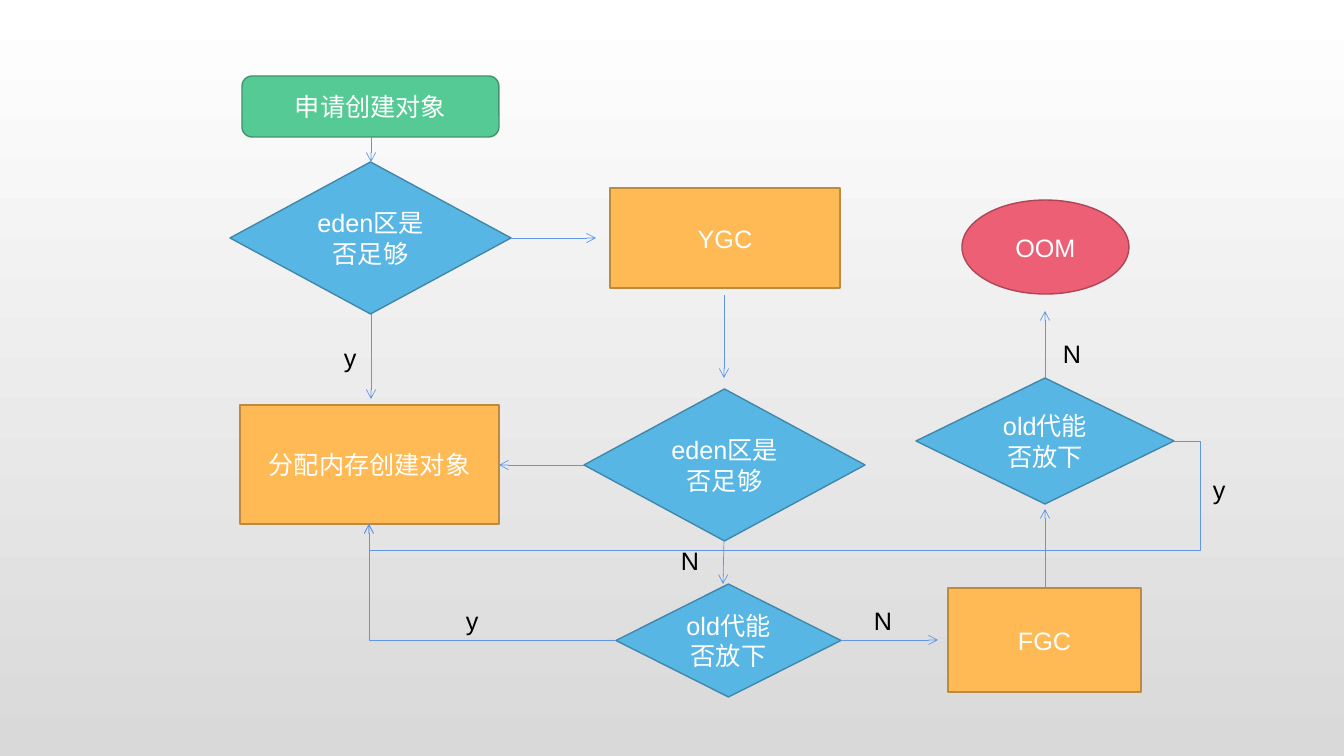
import pptx
import pptx.util
import pptx.dml.color
import pptx.enum.shapes
import pptx.enum.text
import pptx.oxml.ns
import lxml.etree

RGBColor = pptx.dml.color.RGBColor
Shapes = pptx.enum.shapes.MSO_SHAPE
Connectors = pptx.enum.shapes.MSO_CONNECTOR
qn = pptx.oxml.ns.qn

WHITE = RGBColor(0xFF, 0xFF, 0xFF)
BLACK = RGBColor(0, 0, 0)
BACKDROP_GRAY = RGBColor(0xD9, 0xD9, 0xD9)
ARROW_BLUE = RGBColor(0x60, 0x96, 0xE6)
# Each kind of step: preset shape, fill, outline
START = (Shapes.ROUNDED_RECTANGLE, RGBColor(0x56, 0xCA, 0x95), RGBColor(0x40, 0x95, 0x6E))
CHECK = (Shapes.DIAMOND, RGBColor(0x58, 0xB6, 0xE5), RGBColor(0x41, 0x87, 0xA9))
ACTION = (Shapes.RECTANGLE, RGBColor(0xFF, 0xBA, 0x55), RGBColor(0xBD, 0x8A, 0x3F))
FAILURE = (Shapes.OVAL, RGBColor(0xEC, 0x5F, 0x74), RGBColor(0xAF, 0x46, 0x56))

EDEN_CHECK = "eden区是否足够"
OLD_CHECK = "old代能否放下"
LABEL_WIDTHS = {"y": 44, "N": 51}


def px(pixels):
    """Turn pixels (100.8 to the inch) into EMU."""
    return pptx.util.Emu(round(pixels * 914400 / 100.8))


def style_text(paragraph, color):
    """Set the common font on a paragraph."""
    paragraph.font.name = "Arial"
    paragraph.font.size = pptx.util.Pt(18)
    paragraph.font.color.rgb = color


def add_step(slide, kind, text, origin, left, top, width, height):
    """Add one flowchart step, placed relative to origin."""
    preset, fill, outline = kind
    shape = slide.shapes.add_shape(
        preset, px(origin[0] + left), px(origin[1] + top), px(width), px(height))
    shape.shadow.inherit = False
    shape.fill.solid()
    shape.fill.fore_color.rgb = fill
    shape.line.color.rgb = outline
    shape.line.width = pptx.util.Pt(1)
    frame = shape.text_frame
    frame.word_wrap = True
    frame.vertical_anchor = pptx.enum.text.MSO_ANCHOR.MIDDLE
    paragraph = frame.paragraphs[0]
    paragraph.text = text
    paragraph.alignment = pptx.enum.text.PP_ALIGN.CENTER
    style_text(paragraph, WHITE)


def add_arrow(slide, origin, start, end, kind=Connectors.STRAIGHT):
    """Add an arrow between two points relative to origin."""
    left, top = origin
    arrow = slide.shapes.add_connector(
        kind, px(left + start[0]), px(top + start[1]), px(left + end[0]), px(top + end[1]))
    arrow.line.color.rgb = ARROW_BLUE
    arrow.line.width = pptx.util.Pt(0.5)
    properties = arrow._element.spPr
    line = properties.find(qn("a:ln"))
    lxml.etree.SubElement(line, qn("a:tailEnd"), type="arrow")
    lxml.etree.SubElement(properties, qn("a:effectLst"))
    return arrow


def add_bent_arrow(slide, origin, start, end, preset, **adjustments):
    """Add an elbow arrow with the given preset and adjustments."""
    arrow = add_arrow(slide, origin, start, end, Connectors.ELBOW)
    geometry = arrow._element.spPr.find(qn("a:prstGeom"))
    geometry.set("prst", preset)
    guides = geometry.find(qn("a:avLst"))
    for name, value in adjustments.items():
        lxml.etree.SubElement(guides, qn("a:gd"), name=name, fmla=f"val {value}")


def add_label(slide, text, origin, left, top):
    """Add a yes or no label beside an arrow."""
    label = slide.shapes.add_textbox(
        px(origin[0] + left), px(origin[1] + top), px(LABEL_WIDTHS[text]), px(40))
    label.text_frame.word_wrap = True
    paragraph = label.text_frame.paragraphs[0]
    paragraph.text = text
    style_text(paragraph, BLACK)


def build_allocation(slide, origin):
    """Left column: request, eden check and allocation."""
    add_step(slide, START, "申请创建对象", origin, 12, 0, 257, 61)
    add_step(slide, CHECK, EDEN_CHECK, origin, 0, 86, 281, 152)
    add_step(slide, ACTION, "分配内存创建对象", origin, 10, 329, 259, 119)
    add_arrow(slide, origin, (141, 61), (141, 86))
    add_arrow(slide, origin, (141, 238), (141, 323))
    add_arrow(slide, origin, (281, 162), (366, 162))
    add_label(slide, "y", origin, 104, 261)


def build_young_collection(slide, origin):
    """Middle column: YGC, then the eden and old checks."""
    add_step(slide, ACTION, "YGC", origin, 26, 0, 230, 100)
    add_step(slide, CHECK, EDEN_CHECK, origin, 0, 201, 281, 152)
    add_step(slide, CHECK, OLD_CHECK, origin, 32, 396, 225, 113)
    add_arrow(slide, origin, (140, 107), (140, 190))
    add_arrow(slide, origin, (0, 277), (-85, 277))
    add_arrow(slide, origin, (140, 353), (139, 396))
    add_arrow(slide, origin, (257, 452), (354, 452))
    add_label(slide, "N", origin, 87, 352)
    add_label(slide, "N", origin, 280, 412)


def build_full_collection(slide, origin):
    """Right column: FGC, the old check and OOM."""
    add_step(slide, FAILURE, "OOM", origin, 46, 0, 167, 94)
    add_step(slide, CHECK, OLD_CHECK, origin, 0, 178, 258, 126)
    add_step(slide, ACTION, "FGC", origin, 32, 388, 193, 104)
    add_arrow(slide, origin, (129, 388), (129, 309))
    add_arrow(slide, origin, (129, 178), (129, 111))
    add_label(slide, "N", origin, 137, 133)


def build_returns(slide, origin):
    """Bent arrows that lead from both old checks back to allocation."""
    add_bent_arrow(slide, origin, (247, 199), (0, 83), "bentConnector2")
    add_bent_arrow(slide, origin, (805, 0), (0, 83), "bentConnector4",
                   adj1=-3300, adj2=131600)
    add_label(slide, "y", origin, 87, 159)
    add_label(slide, "y", origin, 834, 28)


presentation = pptx.Presentation()
presentation.slide_width = px(1344)
presentation.slide_height = px(756)
slide = presentation.slides.add_slide(presentation.slide_layouts.get_by_name("Blank"))

backdrop = slide.background.fill
backdrop.gradient()
backdrop.gradient_angle = 270
for stop, color in zip(backdrop.gradient_stops, (WHITE, BACKDROP_GRAY)):
    stop.color.rgb = color

build_allocation(slide, (230, 76))
build_young_collection(slide, (584, 188))
build_full_collection(slide, (916, 200))
build_returns(slide, (369, 441))

presentation.save("out.pptx")
